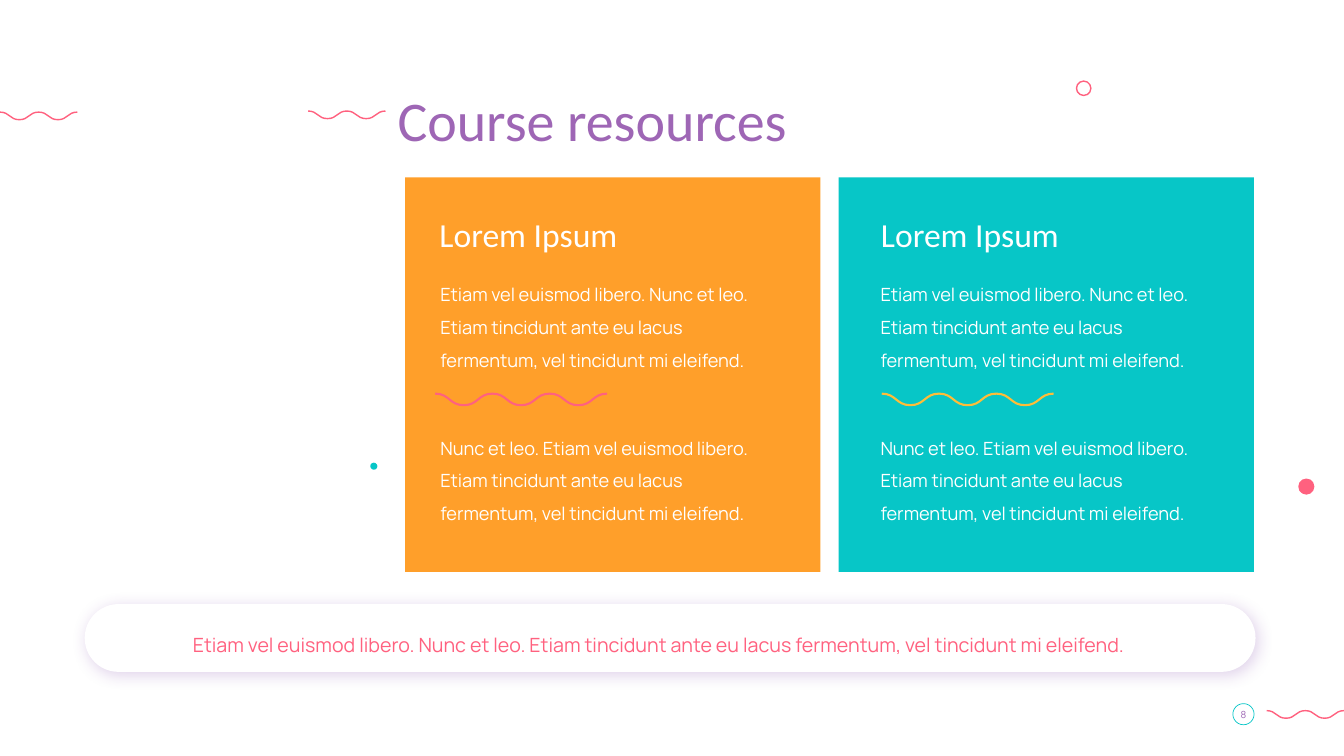
import pptx
import pptx.util
import pptx.dml.color
import pptx.enum.shapes
import pptx.enum.text
import pptx.oxml
import pptx.oxml.ns

RGB = pptx.dml.color.RGBColor
KIND = pptx.enum.shapes.MSO_SHAPE
ALIGN = pptx.enum.text.PP_ALIGN
ANCHOR = pptx.enum.text.MSO_ANCHOR
Pt = pptx.util.Pt
qn = pptx.oxml.ns.qn
SPACE = pptx.oxml.ns.nsdecls("a")

WHITE = RGB(0xFF, 0xFF, 0xFF)
PINK = RGB(0xFF, 0x61, 0x7F)
TEAL = RGB(0x07, 0xC6, 0xC7)
ORANGE = RGB(0xFF, 0x9F, 0x2A)
YELLOW = RGB(0xFF, 0xBD, 0x38)
PURPLE = RGB(0x9E, 0x66, 0xB5)

# The slide is a grid of 100 columns by 100 rows
WIDE = pptx.util.Inches(13.33)
HIGH = pptx.util.Inches(7.5)
COL, ROW = WIDE / 100, HIGH / 100

HEAD, BODY = "Calibri", "Manrope"
TAIL = "Etiam tincidunt ante eu lacus fermentum, vel tincidunt mi eleifend."
FIRST = "Etiam vel euismod libero. Nunc et leo. " + TAIL
SECOND = "Nunc et leo. Etiam vel euismod libero. " + TAIL


def place(x, y, w, h):
    return round(x * COL), round(y * ROW), round(w * COL), round(h * ROW)


def paint(item, fill=None, line=None, weight=1):
    item.shadow.inherit = False
    if fill is None:
        item.fill.background()
    else:
        item.fill.solid()
        item.fill.fore_color.rgb = fill
    if line is None:
        item.line.fill.background()
    else:
        item.line.color.rgb = line
        item.line.width = Pt(weight)


def block(slide, kind, box, **style):
    item = slide.shapes.add_shape(kind, *place(*box))
    paint(item, **style)
    return item


def label(slide, box, text, size, font, color, align=ALIGN.LEFT,
          space=1.0, anchor=ANCHOR.TOP, right=0.1):
    frame = slide.shapes.add_textbox(*place(*box)).text_frame
    frame.word_wrap = True
    frame.auto_size = pptx.enum.text.MSO_AUTO_SIZE.SHAPE_TO_FIT_TEXT
    frame.vertical_anchor = anchor
    frame.margin_left = 0
    frame.margin_right = pptx.util.Inches(right)
    para = frame.paragraphs[0]
    para.text = text
    para.alignment = align
    para.line_spacing = space
    para.font.size = Pt(size)
    para.font.name = font
    para.font.color.rgb = color


def bend(item):
    """Turn each straight segment into an S-curve with level ends."""
    spots = list(item._element.iter(qn("a:pt")))
    ends = [(int(spot.get("x")), int(spot.get("y"))) for spot in spots]
    for spot, (x1, y1), (x2, y2) in zip(spots[1:], ends, ends[1:]):
        mid = (x1 + x2) // 2
        marks = "".join('<a:pt x="%d" y="%d"/>' % mark
                        for mark in ((mid, y1), (mid, y2), (x2, y2)))
        line = spot.getparent()
        line.getparent().replace(line, pptx.oxml.parse_xml(
            "<a:cubicBezTo %s>%s</a:cubicBezTo>" % (SPACE, marks)))


def wave(slide, box, halves, color, weight=1):
    left, top, width, height = place(*box)
    points = [(left + round(width * half / halves), top + height * (half % 2))
              for half in range(halves + 1)]
    pen = slide.shapes.build_freeform(*points[0])
    pen.add_line_segments(points[1:], close=False)
    item = pen.convert_to_shape()
    bend(item)
    paint(item, line=color, weight=weight)


def glow(item):
    """Give the shape a soft purple shadow."""
    props = item._element.spPr
    props.remove(props.find(qn("a:effectLst")))
    props.append(pptx.oxml.parse_xml(
        '<a:effectLst %s><a:outerShdw blurRad="%d" dist="%d" dir="2700000" '
        'algn="tl" rotWithShape="0"><a:srgbClr val="7030A0">'
        '<a:alpha val="22000"/></a:srgbClr></a:outerShdw></a:effectLst>'
        % (SPACE, Pt(11), Pt(2))))


def card(slide, left, inner, head, curl, fill, color):
    block(slide, KIND.RECTANGLE, (left, 23.47, 30.9, 52.2), fill=fill)
    label(slide, (head, 27.6, 21.3, 6.53), "Lorem Ipsum", 24, HEAD, WHITE)
    for top, text in ((35.43, FIRST), (55.69, SECOND)):
        label(slide, (inner, top, 25.95, 13.6), text, 13, BODY, WHITE,
              space=1.5)
    wave(slide, (curl, 52.07, 12.79, 1.53), 6, color, 1.5)


def main():
    deck = pptx.Presentation()
    deck.slide_width, deck.slide_height = WIDE, HIGH
    slide = deck.slides.add_slide(deck.slide_layouts[6])

    # Page number
    block(slide, KIND.OVAL, (91.73, 93.07, 1.58, 2.8), line=TEAL, weight=0.5)
    label(slide, (91.13, 93.07, 2.78, 2.93), "8", 7, BODY, PURPLE,
          ALIGN.CENTER, anchor=ANCHOR.BOTTOM, right=0)

    # Waves and dots around the content
    for left, top in ((94.25, 94), (0, 14.83), (22.93, 14.69)):
        wave(slide, (left, top, 5.75, 1), 4, PINK)
    block(slide, KIND.OVAL, (80.1, 10.73, 1.07, 1.9), line=PINK)
    block(slide, KIND.OVAL, (96.6, 63.3, 1.2, 2.13), fill=PINK)
    block(slide, KIND.OVAL, (27.55, 61.2, 0.53, 0.93), fill=TEAL)

    # Title
    label(slide, (29.58, 11.6, 67.28, 9.47), "Course resources", 40, HEAD,
          PURPLE, space=0.9)

    # Pill behind the closing line
    pill = block(slide, KIND.ROUNDED_RECTANGLE, (6.3, 79.9, 87.12, 8.97),
                 fill=WHITE)
    pill.adjustments[0] = 0.5
    glow(pill)

    # Cards
    card(slide, 30.15, 32.77, 32.7, 32.38, ORANGE, PINK)
    card(slide, 62.4, 65.52, 65.55, 65.61, TEAL, YELLOW)

    # Closing line
    label(slide, (10.97, 81.5, 76.88, 5.6), FIRST, 14, BODY, PINK,
          ALIGN.CENTER, space=1.5)

    deck.save("out.pptx")


if __name__ == "__main__":
    main()
